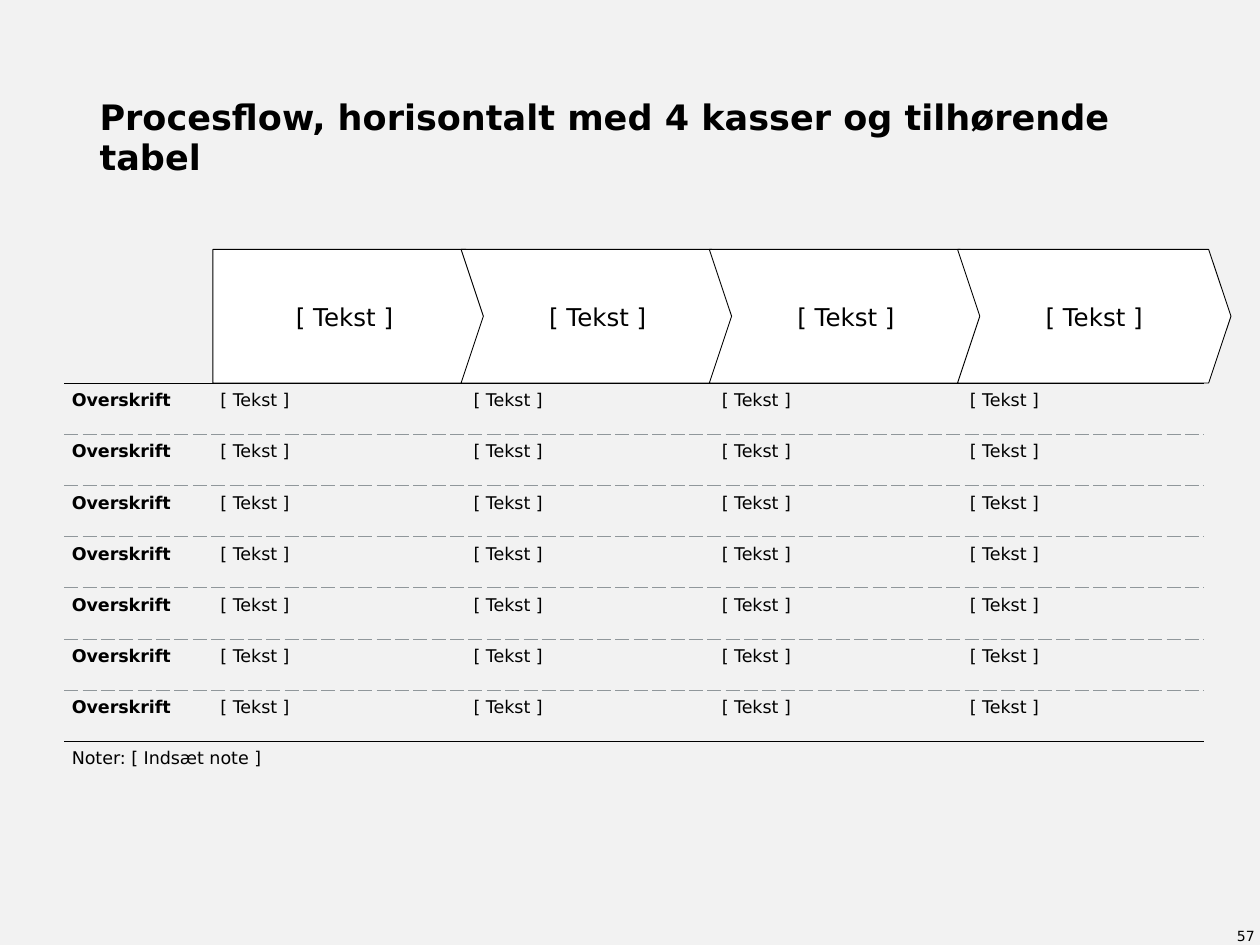
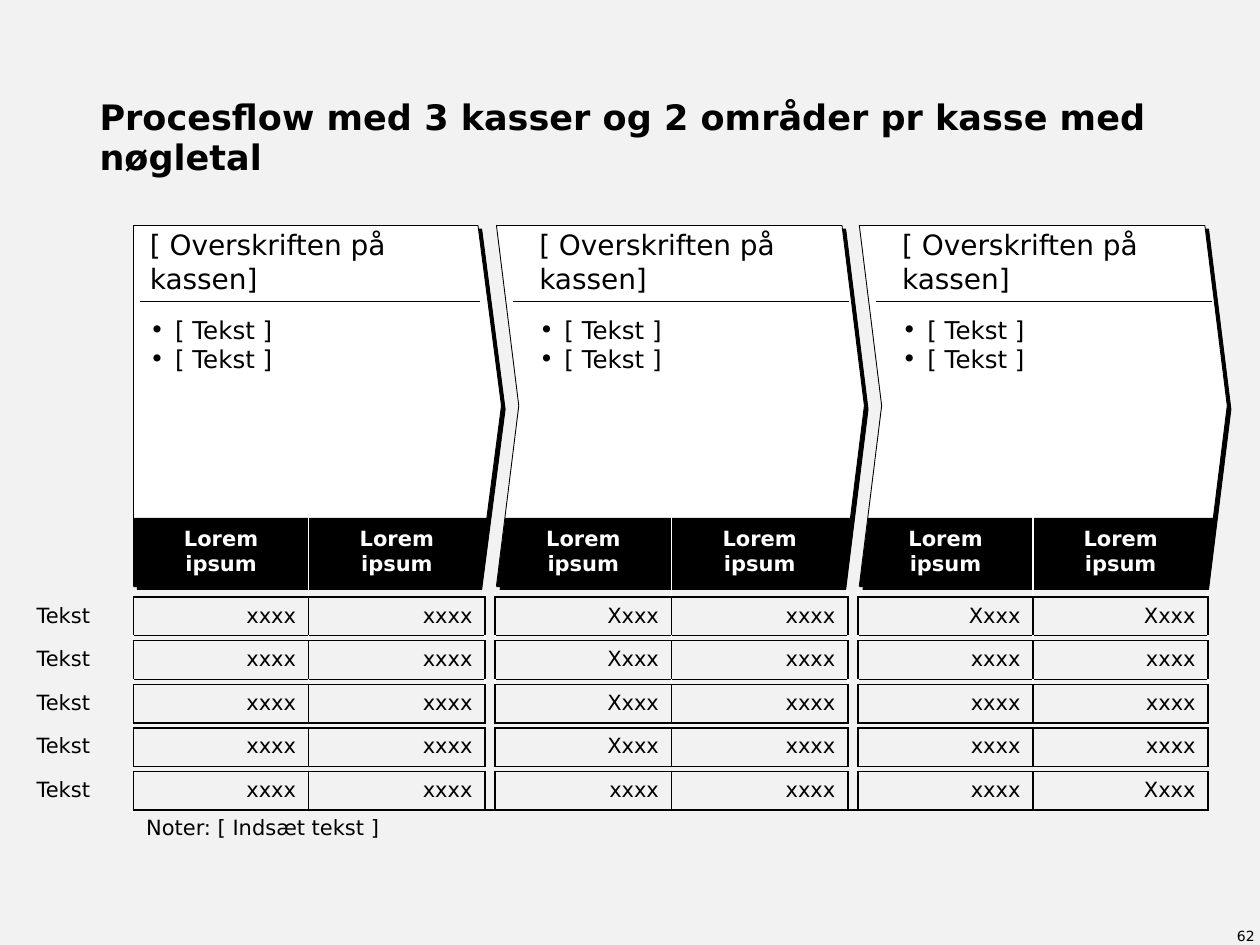
import pptx
import pptx.dml.color
import pptx.enum.shapes
import pptx.enum.text
import pptx.oxml.ns
import pptx.util
from lxml import etree

Inches = pptx.util.Inches
Pt = pptx.util.Pt
qn = pptx.oxml.ns.qn
SHAPE = pptx.enum.shapes.MSO_SHAPE
ALIGN = pptx.enum.text.PP_ALIGN
ANCHOR = pptx.enum.text.MSO_ANCHOR

FONT = "DejaVu Sans"
BLACK, WHITE, PAPER, GREY = "000000", "FFFFFF", "F2F2F2", "90979B"
NO_TABLE_STYLE = "{2D5ABB26-0587-4C30-8999-92F81FD0307C}"
TEXT_INSETS = (0.08, 0.06, 0.08, 0.06)


def rgb(value):
    return pptx.dml.color.RGBColor.from_string(value)


def add_run(p, text, size, bold=False, color=BLACK):
    r = p.add_run()
    r.text = text
    r.font.name = FONT
    r.font.size = Pt(size)
    r.font.bold = bold
    r.font.color.rgb = rgb(color)


def set_frame(tf, insets, anchor):
    tf.word_wrap = True
    tf.auto_size = pptx.enum.text.MSO_AUTO_SIZE.NONE
    tf.margin_left, tf.margin_top, tf.margin_right, tf.margin_bottom = map(Inches, insets)
    tf.vertical_anchor = anchor


def add_text(s, left, top, width, height, insets=TEXT_INSETS, anchor=ANCHOR.TOP):
    box = s.shapes.add_textbox(Inches(left), Inches(top), Inches(width), Inches(height))
    set_frame(box.text_frame, insets, anchor)
    return box.text_frame


def add_bullet(p):
    pPr = p._p.get_or_add_pPr()
    pPr.set("marL", str(Inches(0.2)))
    pPr.set("indent", str(Inches(-0.2)))
    etree.SubElement(pPr, qn("a:buFont"), typeface=FONT)
    etree.SubElement(pPr, qn("a:buChar"), char="•")


def add_arrow(s, kind, left, top, width, height, adjust):
    sp = s.shapes.add_shape(kind, Inches(left), Inches(top), Inches(width), Inches(height))
    sp.adjustments[0] = adjust
    sp.shadow.inherit = False
    sp.fill.solid()
    sp.fill.fore_color.rgb = rgb(WHITE)
    sp.line.color.rgb = rgb(BLACK)
    sp.line.width = Pt(0.5)
    return sp


def add_hard_shadow(sp):
    effects = sp._element.spPr.find(qn("a:effectLst"))
    shadow = etree.SubElement(effects, qn("a:outerShdw"), blurRad="0",
                              dist=str(Pt(3)), dir="2700000", algn="tl", rotWithShape="0")
    etree.SubElement(shadow, qn("a:srgbClr"), val=BLACK)


def add_rule(s, left, top, width):
    line = s.shapes.add_connector(pptx.enum.shapes.MSO_CONNECTOR.STRAIGHT, Inches(left),
                                  Inches(top), Inches(left + width), Inches(top))
    line.line.color.rgb = rgb(BLACK)
    line.line.width = Pt(0.5)
    etree.SubElement(line._element.spPr, qn("a:effectLst"))


def add_table(s, left, top, cols, rows):
    """Add an unstyled table whose cells start empty and take no height."""
    frame = s.shapes.add_table(len(rows), len(cols), Inches(left), Inches(top),
                               Inches(sum(cols)), Inches(sum(rows)))
    table = frame.table
    table.first_row = table.horz_banding = False
    table._tbl.tblPr.find(qn("a:tableStyleId")).text = NO_TABLE_STYLE
    for col, width in zip(table.columns, cols):
        col.width = Inches(width)
    for row, height in zip(table.rows, rows):
        row.height = Inches(height)
    for cell in table.iter_cells():
        cell.fill.background()
        set_margins(cell, 0, 0)
        etree.SubElement(cell.text_frame.paragraphs[0]._p, qn("a:endParaRPr"), sz="100")
    return table


def set_margins(cell, x, y):
    cell.margin_left = cell.margin_right = Inches(x)
    cell.margin_top = cell.margin_bottom = Inches(y)


def write_cell(cell, text, size, margins, align=ALIGN.LEFT, bold=False, color=BLACK):
    set_margins(cell, *margins)
    p = cell.text_frame.paragraphs[0]
    p.alignment = align
    add_run(p, text, size, bold, color)


def set_borders(cell, sides, color, width, dash="solid"):
    """Draw the named sides (letters out of LRTB, in that order); no colour means no line."""
    tcPr = cell._tc.get_or_add_tcPr()
    at = sum(len(tcPr.findall(qn("a:ln" + side))) for side in "LRT")
    for i, side in enumerate(sides):
        ln = etree.Element(qn("a:ln" + side), w=str(Pt(width)))
        if color:
            fill = etree.SubElement(ln, qn("a:solidFill"))
            etree.SubElement(fill, qn("a:srgbClr"), val=color)
            etree.SubElement(ln, qn("a:prstDash"), val=dash)
        else:
            etree.SubElement(ln, qn("a:noFill"))
        tcPr.insert(at + i, ln)


def add_slide(prs, title, number):
    s = prs.slides.add_slide(prs.slide_layouts[5])
    sp = s.shapes.title
    sp.left, sp.top, sp.width, sp.height = map(Inches, (0.79, 0.59, 8.42, 0.83))
    set_frame(sp.text_frame, (0, 0, 0, 0), ANCHOR.BOTTOM)
    p = sp.text_frame.paragraphs[0]
    p.alignment = ALIGN.LEFT
    p.line_spacing = 0.96
    add_run(p, title, 20, bold=True)
    p = add_text(s, 7.63, 7.34, 2.33, 0.15, (0, 0, 0, 0)).paragraphs[0]
    p.alignment = ALIGN.RIGHT
    p.line_spacing = 1.15
    add_run(p, number, 8)
    return s


def add_heading_table(s, left, top):
    gap = [0.04, 0.04]
    cols = [1.1, 0.08, 1.93, *gap, 1.89, *gap, 1.89, *gap, 1.92]
    line_count = 7
    row_count = line_count + 1
    table = add_table(s, left, top, cols, [3.25 / row_count] * row_count)
    margins = (0.06, 0.06)
    for row in range(line_count):
        write_cell(table.cell(row, 0), "Overskrift", 10, margins, bold=True)
        for col in (2, 5, 8, 11):
            write_cell(table.cell(row, col), "[ Tekst ]", 10, margins)
        for col in range(len(cols)):
            cell = table.cell(row, col)
            for side, outer in (("T", row == 0), ("B", row == line_count - 1)):
                set_borders(cell, side, BLACK if outer else GREY, 0.25,
                            "solid" if outer else "dash")
    note = table.cell(line_count, 0)
    note.merge(table.cell(line_count, len(cols) - 1))
    write_cell(note, "Noter: [ Indsæt note ]", 10, margins)
    for col in range(len(cols)):
        set_borders(table.cell(line_count, col), "T", BLACK, 0.25)


def add_step_arrows(s, left, top):
    for i in range(4):
        kind, adjust = (SHAPE.CHEVRON, 0.167) if i else (SHAPE.PENTAGON, 0.152)
        sp = add_arrow(s, kind, left + 1.97 * i, top, 2.17, 1.06, adjust)
        sp.text_frame.vertical_anchor = ANCHOR.MIDDLE
        p = sp.text_frame.paragraphs[0]
        p.alignment = ALIGN.CENTER
        add_run(p, "[ Tekst ]", 14)


def add_process_box(s, left, top, first):
    kind, adjust = (SHAPE.PENTAGON, 0.065) if first else (SHAPE.CHEVRON, 0.062)
    add_hard_shadow(add_arrow(s, kind, left, top, 2.92, 2.86, adjust))
    rule_left, rule_width = (0.05, 2.7) if first else (0.13, 2.67)
    add_rule(s, left + rule_left, top + 0.6, rule_width)
    text_left, text_width = (0.05, 2.7) if first else (0.26, 2.59)
    tf = add_text(s, left + text_left, top + 0.24, text_width, 0.37, anchor=ANCHOR.BOTTOM)
    add_run(tf.paragraphs[0], "[ Overskriften på kassen]", 16)
    tf = add_text(s, left + text_left, top + 0.65, text_width, 2.09)
    for p in (tf.paragraphs[0], tf.add_paragraph()):
        add_bullet(p)
        add_run(p, "[ Tekst ]", 14)


def add_process_foot(s, left, top, first):
    """Add the black band that follows the slanted sides of a process box."""
    slant, width, height = 0.07, 2.83, 0.55
    corners = [(left + (0 if first else slant), top), (left + width, top),
               (left + width - slant, top + height), (left, top + height)]
    points = [(Inches(x), Inches(y)) for x, y in corners]
    builder = s.shapes.build_freeform(*points[0])
    builder.add_line_segments(points[1:], close=True)
    sp = builder.convert_to_shape()
    sp.shadow.inherit = False
    sp.fill.solid()
    sp.fill.fore_color.rgb = rgb(BLACK)
    sp.line.fill.background()


def add_key_figures(s, left, top, figures):
    cols = [0.87, 1.39, 1.4, 0.08, 1.4, 1.4, 0.08, 1.39, 1.39]
    value_cols = (1, 2, 4, 5, 7, 8)
    row_height, gap = 1.53 / len(figures), 0.04
    rows = [0.64] + [gap, row_height] * len(figures) + [row_height]
    table = add_table(s, left, top, cols, rows)
    margins = (0.1, 0.05)
    for i, col in enumerate(value_cols):
        cell = table.cell(0, col)
        cell.vertical_anchor = ANCHOR.MIDDLE
        write_cell(cell, "Lorem ipsum", 12, margins, ALIGN.CENTER, True, WHITE)
        set_borders(cell, "L", WHITE if i % 2 else None, 1)
        set_borders(cell, "R", None if i % 2 else WHITE, 1)
    for col in (3, 6):
        set_borders(table.cell(0, col), "LR", None, 1)
    for i, values in enumerate(figures):
        row = 2 * i + 2
        write_cell(table.cell(row, 0), "Tekst", 12, margins)
        for col, value in zip(value_cols, values.split()):
            write_cell(table.cell(row, col), value, 12, margins, ALIGN.RIGHT)
            set_borders(table.cell(row, col), "LRTB", BLACK, 1)
            space = table.cell(row - 1, col)
            if i < 3:
                set_borders(space, "LR", WHITE, 1)
            set_borders(space, "TB" if i else "B", BLACK, 1)
    last = len(rows) - 1
    note = table.cell(last, 1)
    note.merge(table.cell(last, len(cols) - 1))
    write_cell(note, "Noter: [ Indsæt tekst ]", 12, margins)
    for col in value_cols:
        set_borders(table.cell(last, col), "T", BLACK, 1)


def add_table_flow_slide(prs):
    s = add_slide(prs, "Procesflow, horisontalt med 4 kasser og tilhørende tabel", "57")
    add_heading_table(s, 0.51, 3.04)
    add_step_arrows(s, 1.69, 1.98)


def add_key_figure_slide(prs):
    s = add_slide(prs, "Procesflow med 3 kasser og 2 områder pr kasse med nøgletal", "62")
    lefts = [1.06 + 2.88 * i for i in range(3)]
    for i, left in enumerate(lefts):
        add_process_box(s, left, 1.79, i == 0)
    for i, left in enumerate(lefts):
        add_process_foot(s, left, 4.11, i == 0)
    add_key_figures(s, 0.19, 4.06, [
        "xxxx xxxx Xxxx xxxx Xxxx Xxxx",
        "xxxx xxxx Xxxx xxxx xxxx xxxx",
        "xxxx xxxx Xxxx xxxx xxxx xxxx",
        "xxxx xxxx Xxxx xxxx xxxx xxxx",
        "xxxx xxxx xxxx xxxx xxxx Xxxx",
    ])


def main():
    prs = pptx.Presentation()
    prs.slide_width, prs.slide_height = Inches(10), Inches(7.5)
    fill = prs.slide_master.background.fill
    fill.solid()
    fill.fore_color.rgb = rgb(PAPER)
    add_table_flow_slide(prs)
    add_key_figure_slide(prs)
    prs.save("out.pptx")


if __name__ == "__main__":
    main()
